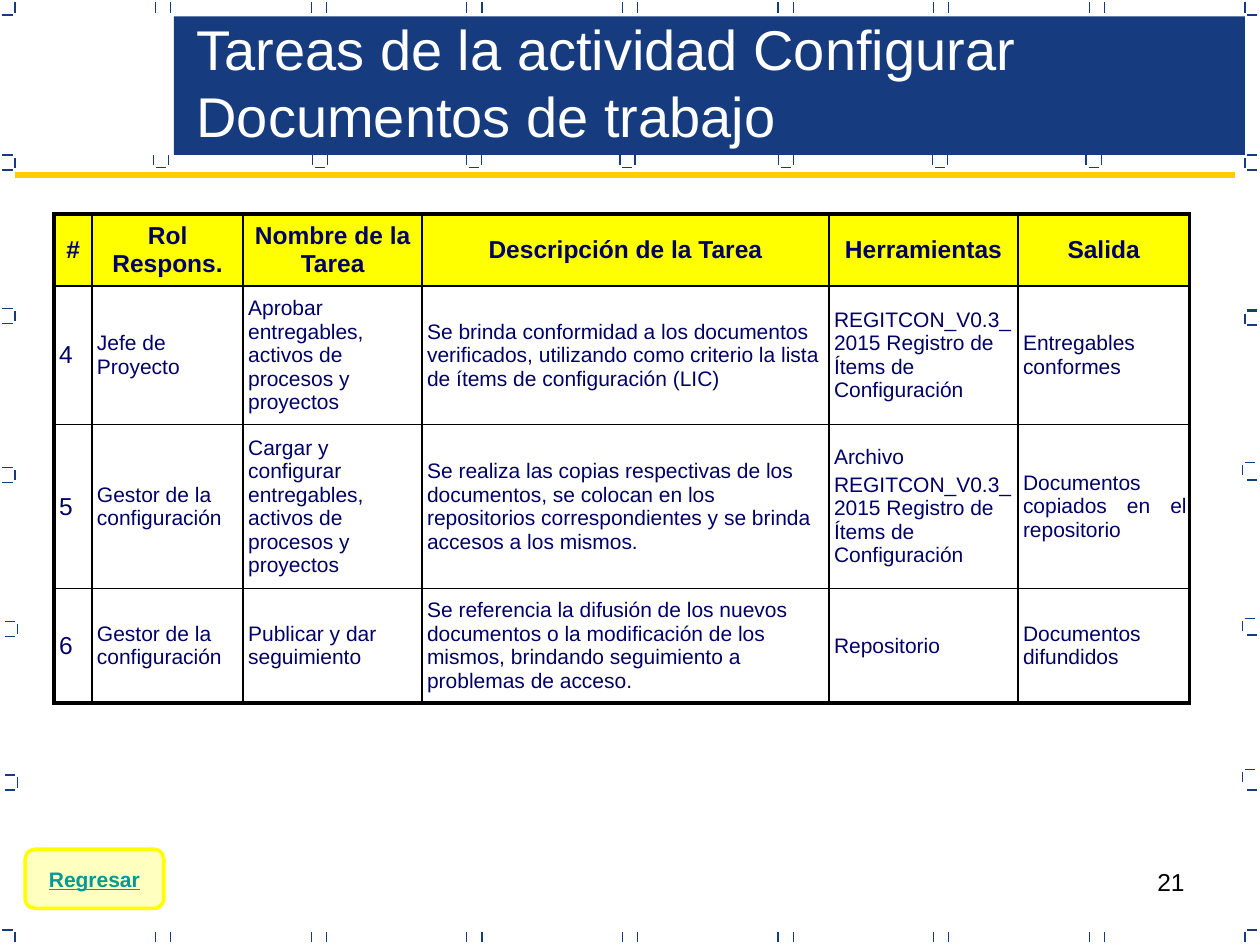
"""Builds the slide listing the tasks of the document configuration activity."""

from dataclasses import dataclass

from lxml.etree import SubElement
from pptx import Presentation
from pptx.dml.color import RGBColor
from pptx.enum.shapes import MSO_CONNECTOR, MSO_SHAPE
from pptx.enum.text import MSO_ANCHOR, PP_ALIGN
from pptx.oxml.ns import qn
from pptx.slide import Slide
from pptx.util import Inches, Length, Pt

GRID_CELL = 0.1
COLUMNS, ROWS = 100, 75

NAVY = RGBColor(0x16, 0x3B, 0x7F)
INK = RGBColor(0x00, 0x00, 0x66)
GOLD = RGBColor(0xFF, 0xCC, 0x00)
YELLOW = RGBColor(0xFF, 0xFF, 0x00)
TEAL = RGBColor(0x00, 0x99, 0x99)
WHITE = RGBColor(0xFF, 0xFF, 0xFF)
BLACK = RGBColor(0x00, 0x00, 0x00)

FONT = "Arial"
TICK, GAP = 0.8, 0.2
THIN, THICK = 1, 2.25


@dataclass(frozen=True)
class Bracket:
    """Margin mark: an upright with optional top and base dashes on one side."""

    column: float
    row: float
    side: int
    top: bool = True
    base: bool = True


@dataclass(frozen=True)
class Task:
    """One table row; a cell's paragraphs are separated by line breaks."""

    number: str
    role: str
    name: str
    description: str
    tools: str
    output: str

    def cells(self) -> list[str]:
        return [self.number, self.role, self.name, self.description, self.tools, self.output]


LEFT_BRACKETS = [
    Bracket(1.2, 1.2, -1, top=False),
    *(Bracket(1.2, row, -1) for row in (13.5, 25.7, 38.3)),
    *(Bracket(1.4, row, -1) for row in (50.5, 62.7)),
    Bracket(1.2, 75, -1, base=False),
]
RIGHT_BRACKETS = [
    Bracket(98.8, 1.2, 1, top=False),
    Bracket(98.8, 13.5, 1),
    Bracket(98.8, 25.9, 1, base=False),
    *(Bracket(98.6, row, 1, base=False) for row in (37.9, 50.3, 62.3)),
    Bracket(98.8, 75, 1, base=False),
]
RIGHT_DASH_ROWS = (24.6, 25.8, 38.1, 50.4, 62.7)
EDGE_PAIR_COLUMNS = [12.95 + 12.35 * index for index in range(7)]
CUP_COLUMNS = (12.2, 24.8, 37, 49.2, 61.8, 74, 86.2)

TABLE_COLUMNS = (3, 12, 14.2, 32.3, 15, 13.6)
TABLE_ROWS = (5.7, 11, 13, 9.1)
REGISTER = "REGITCON_V0.3_2015 Registro de Ítems de Configuración"
MANAGER = "Gestor de la configuración"
TASKS = [
    Task("#", "Rol Respons.", "Nombre de la Tarea", "Descripción de la Tarea", "Herramientas", "Salida"),
    Task("4", "Jefe de Proyecto", "Aprobar entregables, activos de procesos y proyectos",
         "Se brinda conformidad a los documentos verificados, utilizando como criterio "
         "la lista de ítems de configuración (LIC)", REGISTER, "Entregables conformes"),
    Task("5", MANAGER, "Cargar y configurar entregables, activos de procesos y proyectos",
         "Se realiza las copias respectivas de los documentos, se colocan en los "
         "repositorios correspondientes y se brinda accesos a los mismos.",
         f"Archivo\n{REGISTER}", "Documentos copiados en el repositorio"),
    Task("6", MANAGER, "Publicar y dar seguimiento",
         "Se referencia la difusión de los nuevos documentos o la modificación de los "
         "mismos, brindando seguimiento a problemas de acceso.", "Repositorio", "Documentos difundidos"),
]


def grid(cells: float) -> Length:
    return Inches(cells * GRID_CELL)


def box(left: float, top: float, width: float, height: float) -> list[Length]:
    return [grid(value) for value in (left, top, width, height)]


def add_line(slide: Slide, start: tuple, end: tuple, color: RGBColor = NAVY, width: float = 0.75) -> None:
    line = slide.shapes.add_connector(MSO_CONNECTOR.STRAIGHT, *box(*start, *end))
    line.line.color.rgb = color
    line.line.width = Pt(width)
    SubElement(line.element.spPr, qn("a:effectLst"))


def add_upright(slide: Slide, column: float, row: float) -> None:
    add_line(slide, (column, row + TICK), (column, row))


def add_dash(slide: Slide, column: float, row: float) -> None:
    add_line(slide, (column, row), (column + TICK, row))


def add_bracket(slide: Slide, bracket: Bracket) -> None:
    add_upright(slide, bracket.column, bracket.row - GAP - TICK)
    dash_column = bracket.column + (GAP if bracket.side > 0 else -GAP - TICK)
    if bracket.top:
        add_dash(slide, dash_column, bracket.row - TICK - 2 * GAP)
    if bracket.base:
        add_dash(slide, dash_column, bracket.row)


def add_margin_marks(slide: Slide) -> None:
    for center in EDGE_PAIR_COLUMNS:
        for column in (center - 0.6, center + 0.6):
            for row in (GAP, ROWS - GAP - TICK):
                add_upright(slide, column, row)
    for column in CUP_COLUMNS:
        add_upright(slide, column, 12.3)
        add_upright(slide, column + TICK + 2 * GAP, 12.3)
        add_dash(slide, column + GAP, 13.3)
    for bracket in LEFT_BRACKETS + RIGHT_BRACKETS:
        add_bracket(slide, bracket)
    for row in RIGHT_DASH_ROWS:
        add_dash(slide, 99, row)


def add_run(paragraph, text: str, size: float, color: RGBColor, bold: bool = False, underline: bool = False) -> None:
    run = paragraph.add_run()
    run.text = text
    run.font.name, run.font.size = FONT, Pt(size)
    run.font.bold, run.font.underline = bold, underline
    run.font.color.rgb = color


def add_title(slide: Slide, text: str) -> None:
    title = slide.shapes.title
    title.left, title.top, title.width, title.height = box(14.6, 0.6, 83.5, 11.7)
    title.text_frame.vertical_anchor = MSO_ANCHOR.MIDDLE
    paragraph = title.text_frame.paragraphs[0]
    paragraph.alignment = PP_ALIGN.LEFT
    add_run(paragraph, text, 32, WHITE)
    title.element.getparent().append(title.element)


def set_borders(cell, widths: dict[str, float]) -> None:
    properties = cell._tc.get_or_add_tcPr()
    for side, width in widths.items():
        border = SubElement(properties, qn(f"a:ln{side}"), w=str(Pt(width)))
        fill = SubElement(border, qn("a:solidFill"))
        SubElement(fill, qn("a:srgbClr"), val=str(BLACK))


def fill_cell(cell, text: str, row: int, column: int) -> None:
    header, last_column = row == 0, column == len(TABLE_COLUMNS) - 1
    set_borders(cell, {
        "L": THICK if column == 0 else THIN,
        "R": THICK if last_column else THIN,
        "T": THICK if header else THIN,
        "B": THICK if row == len(TABLE_ROWS) - 1 else THIN,
    })
    if header:
        cell.fill.solid()
        cell.fill.fore_color.rgb = YELLOW
    else:
        cell.fill.background()
    cell.vertical_anchor = MSO_ANCHOR.MIDDLE
    cell.margin_left, cell.margin_right = (0, 0) if header else (grid(0.4), grid(0.2))
    size = 14 if header or column == 0 else 12
    for index, line in enumerate(text.split("\n")):
        paragraph = cell.text_frame.add_paragraph() if index else cell.text_frame.paragraphs[0]
        paragraph.alignment = PP_ALIGN.CENTER if header else PP_ALIGN.JUSTIFY if last_column else PP_ALIGN.LEFT
        paragraph.space_before = Pt(0.2 * size)
        add_run(paragraph, line, size, INK, bold=header)


def add_task_table(slide: Slide) -> None:
    area = box(4.3, 17, sum(TABLE_COLUMNS), sum(TABLE_ROWS))
    table = slide.shapes.add_table(len(TABLE_ROWS), len(TABLE_COLUMNS), *area).table
    table.first_row = table.horz_banding = False
    for column, width in zip(table.columns, TABLE_COLUMNS):
        column.width = grid(width)
    for row, (height, task) in enumerate(zip(TABLE_ROWS, TASKS)):
        table.rows[row].height = grid(height)
        for column, text in enumerate(task.cells()):
            fill_cell(table.cell(row, column), text, row, column)


def add_filled_shape(slide: Slide, kind: MSO_SHAPE, area: list[Length], color: RGBColor):
    shape = slide.shapes.add_shape(kind, *area)
    shape.shadow.inherit = False
    shape.fill.solid()
    shape.fill.fore_color.rgb = color
    shape.line.fill.background()
    return shape


def add_return_button(slide: Slide) -> None:
    button = add_filled_shape(slide, MSO_SHAPE.FLOWCHART_ALTERNATE_PROCESS, box(2, 67.4, 11, 4.7), YELLOW)
    color = button.element.spPr.find(qn("a:solidFill")).find(qn("a:srgbClr"))
    SubElement(color, qn("a:alpha"), val="25000")
    button.line.color.rgb = YELLOW
    button.line.width = Pt(2)
    button.text_frame.word_wrap = False
    button.text_frame.vertical_anchor = MSO_ANCHOR.MIDDLE
    paragraph = button.text_frame.paragraphs[0]
    paragraph.alignment = PP_ALIGN.CENTER
    add_run(paragraph, "Regresar", 12, TEAL, bold=True, underline=True)


def add_slide_number(slide: Slide) -> None:
    frame = slide.shapes.add_textbox(*box(71.7, 68.3, 23.3, 5.2)).text_frame
    frame.word_wrap = True
    frame.paragraphs[0].alignment = PP_ALIGN.RIGHT
    add_run(frame.paragraphs[0], "21", 14, BLACK)


def main() -> None:
    presentation = Presentation()
    presentation.slide_width, presentation.slide_height = grid(COLUMNS), grid(ROWS)
    slide = presentation.slides.add_slide(presentation.slide_layouts[5])
    add_slide_number(slide)
    add_filled_shape(slide, MSO_SHAPE.RECTANGLE, box(13.8, 1.3, 85, 11), NAVY)
    add_margin_marks(slide)
    add_title(slide, "Tareas de la actividad Configurar Documentos de trabajo")
    add_line(slide, (1.2, 13.9), (98, 13.9), GOLD, 3)
    add_task_table(slide)
    add_return_button(slide)
    presentation.save("out.pptx")


if __name__ == "__main__":
    main()
